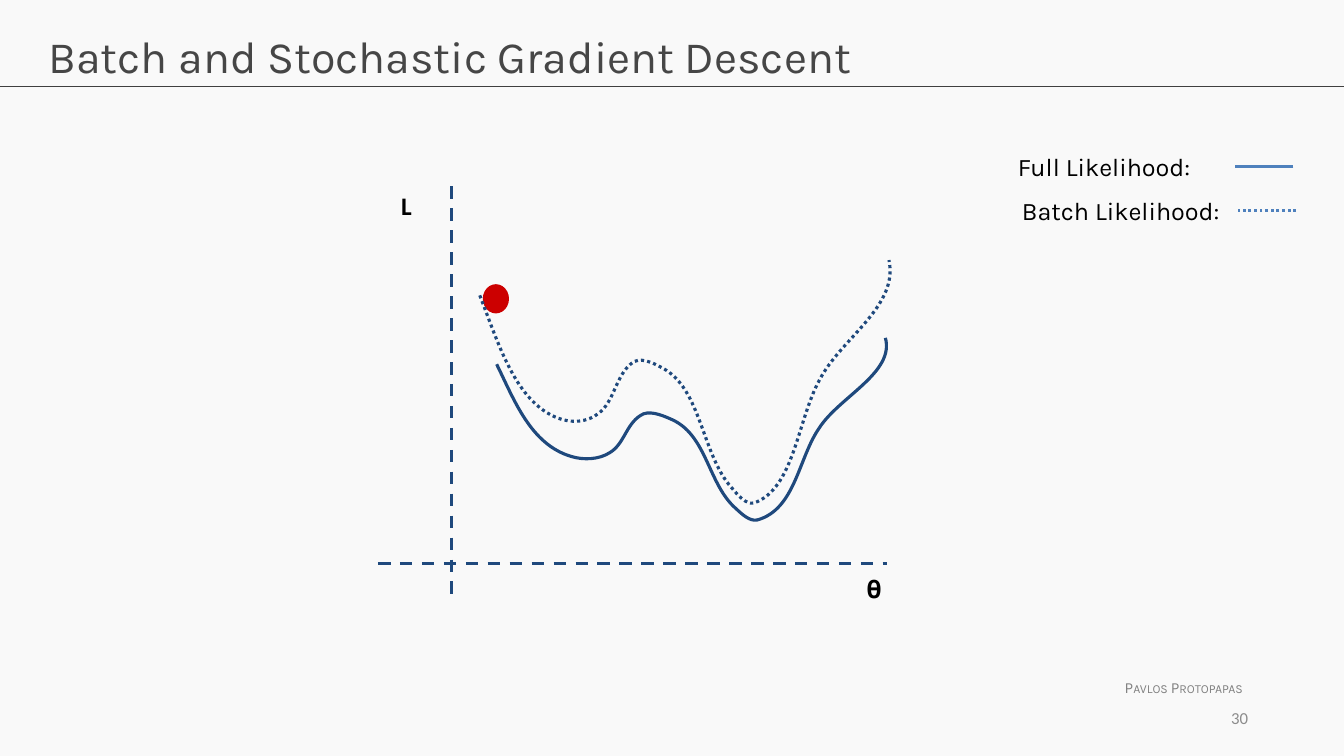
from dataclasses import dataclass
from typing import Optional

from lxml import etree
from pptx import Presentation
from pptx.dml.color import RGBColor
from pptx.enum.dml import MSO_LINE
from pptx.enum.shapes import MSO_CONNECTOR, MSO_SHAPE
from pptx.enum.text import MSO_ANCHOR, PP_ALIGN
from pptx.oxml.ns import qn
from pptx.util import Pt

STRAIGHT = MSO_CONNECTOR.STRAIGHT
OVAL = MSO_SHAPE.OVAL
DASH, DOT = MSO_LINE.DASH, MSO_LINE.ROUND_DOT
TOP, MIDDLE = MSO_ANCHOR.TOP, MSO_ANCHOR.MIDDLE
LEFT, RIGHT = PP_ALIGN.LEFT, PP_ALIGN.RIGHT

COLORS = {
    "background": "F9F9F9", "title": "464646", "rule": "404040",
    "author": "808080", "number": "8C8C8C", "text": "000000",
    "plot": "1F497D", "legend": "4F81BD", "ball": "CC0000",
}


@dataclass
class Label:
    text: str
    left: float
    top: float
    width: float
    height: float
    size: float
    color: str = "text"
    font: str = "Karla"
    bold: bool = False
    small_caps: bool = False
    wrap: bool = True
    align: PP_ALIGN = LEFT
    anchor: MSO_ANCHOR = TOP
    inset_y: float = 3.6


@dataclass
class Stroke:
    x1: float
    y1: float
    x2: float
    y2: float
    color: str
    width: float
    dash: Optional[MSO_LINE] = None


@dataclass
class Curve:
    points: list[tuple[float, float]]
    dash: Optional[MSO_LINE] = None


BATCH_POINTS = [
    (342.7, 211),
    (355.7, 244.1), (367.9, 287.3), (398.9, 298.8),
    (408.2, 302.4), (419.8, 301.7), (427.7, 295.2),
    (438.5, 287.3), (439.9, 268.6), (450.7, 259.9),
    (456.5, 254.2), (466.6, 259.2), (473, 262.8),
    (501.1, 277.2), (501.1, 324.7), (522.7, 348.5),
    (527, 353.5), (532.8, 360.7), (538.6, 359.3),
    (567.4, 349.2), (569.5, 300.2), (585.4, 271.4),
    (600.5, 241.9), (642.2, 218.9), (635, 185.8),
]
FULL_POINTS = [(0.95 * x + 29.2, 0.75 * y + 102) for x, y in BATCH_POINTS]
CURVES = [Curve(BATCH_POINTS, DOT), Curve(FULL_POINTS)]

STROKES = [
    Stroke(0, 62, 960, 62, "rule", 0.75),
    Stroke(322.6, 133.2, 322.6, 429.8, "plot", 2.25, DASH),
    Stroke(270, 402.5, 633.6, 402.5, "plot", 2.25, DASH),
    Stroke(923.8, 118.8, 882, 118.8, "legend", 2),
    Stroke(925.9, 150.5, 884.2, 150.5, "legend", 2, DOT),
]

LABELS = [
    Label("Batch and Stochastic Gradient Descent", 27.4, 17.3, 905, 60.5, 32, "title"),
    Label("Pavlos Protopapas", 796.3, 481, 101.5, 20.9, 11, "author",
          small_caps=True, wrap=False),
    Label("30", 674.6, 498.2, 224, 28.8, 12, "number", "Calibri",
          align=RIGHT, anchor=MIDDLE),
    Label("L", 279.4, 128.9, 43.2, 50.4, 18, font="Calibri", bold=True, inset_y=7.2),
    Label("𝛉", 612, 402.5, 43.2, 50.4, 18, font="Calibri", bold=True, inset_y=7.2),
    Label("Full Likelihood:", 720, 104.4, 143.3, 28.8, 18, wrap=False),
    Label("Batch Likelihood:", 722.9, 136.1, 162, 28.8, 18, wrap=False),
]


def rgb(name: str) -> RGBColor:
    return RGBColor.from_string(COLORS[name])


def style_line(line, color: str, width: float, dash: Optional[MSO_LINE]) -> None:
    line.color.rgb = rgb(color)
    line.width = Pt(width)
    if dash is not None:
        line.dash_style = dash


def draw_label(shapes, label: Label) -> None:
    box = shapes.add_textbox(Pt(label.left), Pt(label.top),
                             Pt(label.width), Pt(label.height))
    frame = box.text_frame
    frame.word_wrap = label.wrap
    frame.vertical_anchor = label.anchor
    frame.margin_left = frame.margin_right = Pt(7.2)
    frame.margin_top = frame.margin_bottom = Pt(label.inset_y)
    paragraph = frame.paragraphs[0]
    paragraph.alignment = label.align
    run = paragraph.add_run()
    run.text = label.text
    run.font.name = label.font
    run.font.size = Pt(label.size)
    run.font.bold = label.bold
    run.font.color.rgb = rgb(label.color)
    if label.small_caps:
        run._r.get_or_add_rPr().set("cap", "small")


def draw_stroke(shapes, stroke: Stroke) -> None:
    connector = shapes.add_connector(STRAIGHT, Pt(stroke.x1), Pt(stroke.y1),
                                     Pt(stroke.x2), Pt(stroke.y2))
    style_line(connector.line, stroke.color, stroke.width, stroke.dash)
    etree.SubElement(connector._element.spPr, qn("a:effectLst"))


def draw_curve(shapes, curve: Curve) -> None:
    start, *controls = [(Pt(x), Pt(y)) for x, y in curve.points]
    builder = shapes.build_freeform(*start)
    builder.add_line_segments(controls, close=False)
    outline = builder.convert_to_shape()
    segments = list(outline._element.iter(qn("a:lnTo")))
    for first in range(0, len(segments), 3):
        bend = etree.Element(qn("a:cubicBezTo"))
        segments[first].addprevious(bend)
        for segment in segments[first:first + 3]:
            bend.append(segment[0])
            segment.getparent().remove(segment)
    outline.fill.background()
    outline.shadow.inherit = False
    style_line(outline.line, "plot", 2.25, curve.dash)


def draw_ball(shapes) -> None:
    ball = shapes.add_shape(OVAL, Pt(344.9), Pt(203), Pt(18.7), Pt(20.9))
    ball.fill.solid()
    ball.fill.fore_color.rgb = rgb("ball")
    ball.line.fill.background()
    ball.shadow.inherit = False


def main() -> None:
    deck = Presentation()
    deck.slide_width, deck.slide_height = Pt(960), Pt(540)
    slide = deck.slides.add_slide(deck.slide_layouts[6])
    slide.background.fill.solid()
    slide.background.fill.fore_color.rgb = rgb("background")
    for stroke in STROKES:
        draw_stroke(slide.shapes, stroke)
    for label in LABELS:
        draw_label(slide.shapes, label)
    draw_ball(slide.shapes)
    for curve in CURVES:
        draw_curve(slide.shapes, curve)
    deck.save("out.pptx")


if __name__ == "__main__":
    main()
